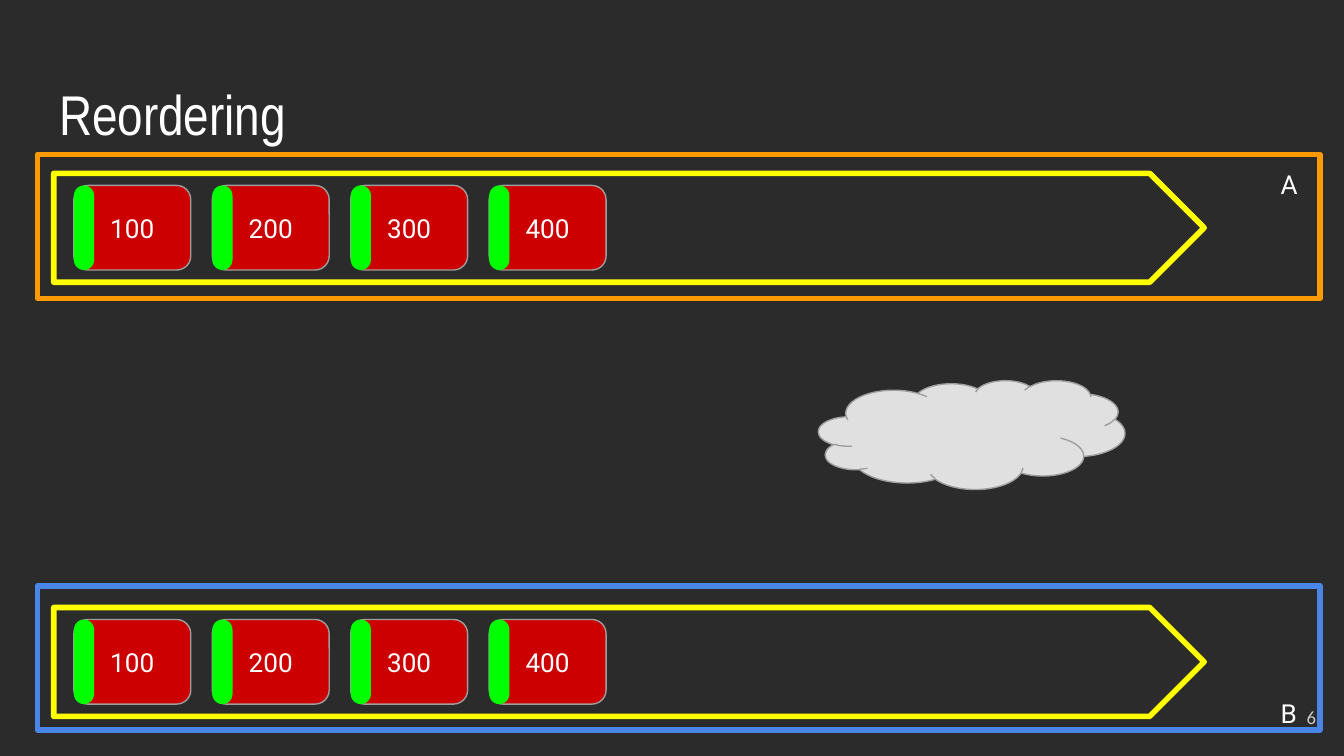
"""Build the Reordering slide: two hosts with packet queues and a network cloud."""
from pptx import Presentation
from pptx.dml.color import RGBColor
from pptx.enum import shapes as sh, text as tx
from pptx.util import Inches, Pt

TITLE = "Reordering"
PAGE = "6"
PACKETS = ["100", "200", "300", "400"]
HOSTS = [
    {"name": "A", "color": "FF9900", "top": 1.15, "queue": 1.29, "label": (9.43, 1.15, 0.39, 0.43)},
    {"name": "B", "color": "4A86E8", "top": 4.36, "queue": 4.52, "label": (9.43, 5.09, 0.39, 0.31)},
]
PACKET_LEFT, PACKET_STEP, PACKET_DROP = 0.55, 1.03, 0.09
WHITE, GREY = "FFFFFF", "9E9E9E"
SHAPE = sh.MSO_SHAPE
ALIGN, ANCHOR = tx.PP_ALIGN, tx.MSO_ANCHOR


def rgb(code):
    return RGBColor.from_string(code)


def write(holder, words, size, font, color=WHITE, align=ALIGN.LEFT, anchor=ANCHOR.TOP):
    frame = holder.text_frame
    frame.text = words
    frame.word_wrap = True
    frame.auto_size = tx.MSO_AUTO_SIZE.NONE
    frame.vertical_anchor = anchor
    frame.margin_left = frame.margin_right = Inches(0.1)
    frame.margin_top = frame.margin_bottom = Inches(0.1)
    paragraph = frame.paragraphs[0]
    paragraph.alignment = align
    paragraph.font.size = Pt(size)
    paragraph.font.name = font
    paragraph.font.color.rgb = rgb(color)


def draw(slide, kind, box, fill=None, line=None, width=0.75, rounding=None):
    shape = slide.shapes.add_shape(kind, *map(Inches, box))
    shape.shadow.inherit = False
    if rounding is not None:
        shape.adjustments[0] = rounding
    if fill:
        shape.fill.solid()
        shape.fill.fore_color.rgb = rgb(fill)
    else:
        shape.fill.background()
    if line:
        shape.line.color.rgb = rgb(line)
        shape.line.width = Pt(width)
    else:
        shape.line.fill.background()
    return shape


def label(slide, box, *args, **style):
    write(slide.shapes.add_textbox(*map(Inches, box)), *args, **style)


def add_host(slide, host):
    draw(slide, SHAPE.FLOWCHART_PROCESS, (0.28, host["top"], 9.54, 1.07), line=host["color"], width=3)
    label(slide, host["label"], host["name"], 14, "Roboto")
    draw(slide, SHAPE.PENTAGON, (0.4, host["queue"], 8.56, 0.81), line="FFFF00", width=3, rounding=0.5)
    top = host["queue"] + PACKET_DROP
    for i, number in enumerate(PACKETS):
        left = PACKET_LEFT + i * PACKET_STEP
        packet = draw(slide, SHAPE.ROUNDED_RECTANGLE, (left, top, 0.87, 0.63),
                      fill="CC0000", line=GREY, rounding=0.167)
        write(packet, number, 14, "Roboto", align=ALIGN.CENTER, anchor=ANCHOR.MIDDLE)
        draw(slide, SHAPE.ROUNDED_RECTANGLE, (left, top, 0.15, 0.63), fill="00FF00", rounding=0.5)


def main():
    deck = Presentation()
    deck.slide_width = Inches(10)
    deck.slide_height = deck.slide_width * 9 // 16
    slide = deck.slides.add_slide(deck.slide_layouts[5])
    slide.background.fill.solid()
    slide.background.fill.fore_color.rgb = rgb("2B2B2B")

    title = slide.shapes.title
    title.left, title.top, title.width, title.height = map(Inches, (0.34, 0.49, 9.32, 0.63))
    write(title, TITLE, 30, "Arial Narrow")

    for host in HOSTS:
        add_host(slide, host)
    draw(slide, SHAPE.CLOUD, (6.09, 2.83, 2.28, 0.81), fill="E0E0E0", line=GREY)
    label(slide, (9.29, 5.12, 0.6, 0.43), PAGE, 10, "Calibri", color="CACACA",
          align=ALIGN.RIGHT, anchor=ANCHOR.MIDDLE)
    deck.save("out.pptx")


if __name__ == "__main__":
    main()
